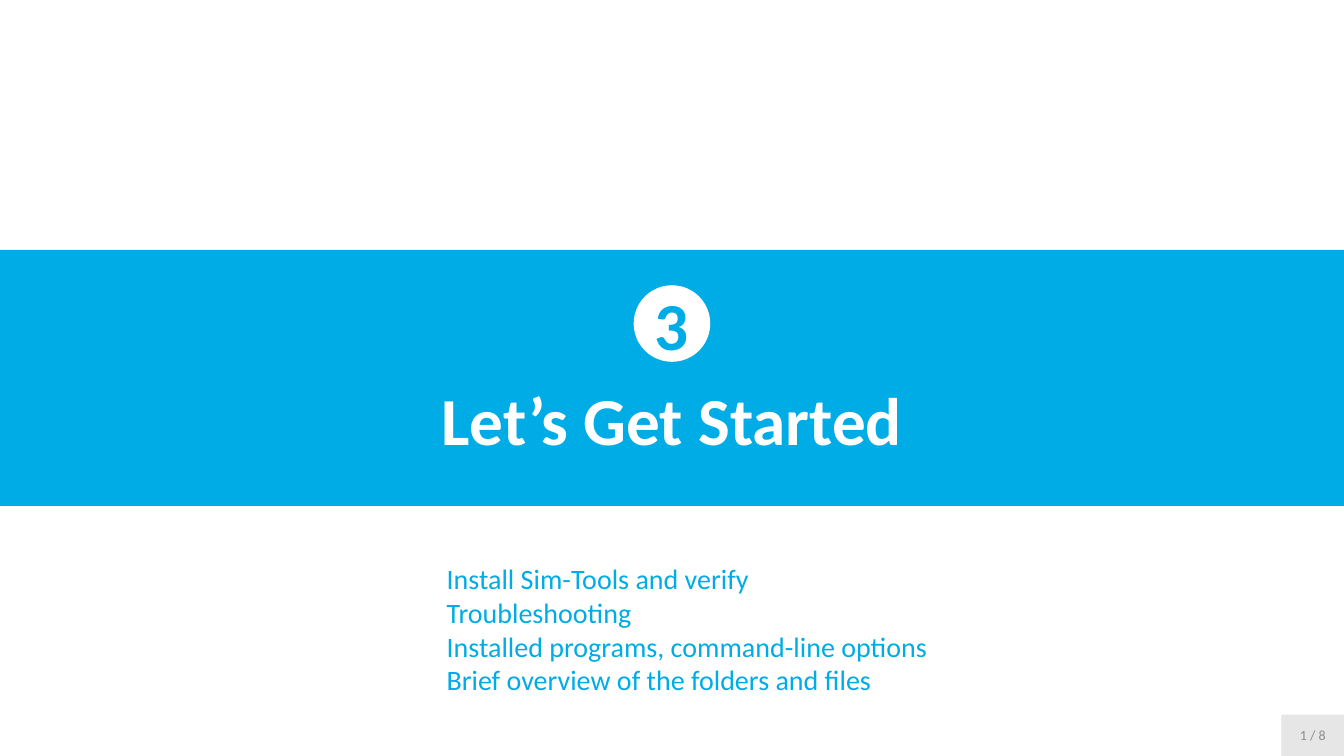
from pptx import Presentation, util as u
from pptx.dml import color
from pptx.enum import shapes, text

hues = {"blue": "00ACE6", "white": "FFFFFF", "gray": "E7E6E6", "dim": "8C8C8C"}
deck = Presentation()
deck.slide_width = u.Inches(13.33)
deck.slide_height = u.Inches(7.5)
col = deck.slide_width / 100
row = deck.slide_height / 100
slide = deck.slides.add_slide(deck.slide_layouts[6])


def tint(name):
    return color.RGBColor.from_string(hues[name])


def write(frame, words, size, hue, bold, align):
    frame.text = words
    frame.word_wrap = True
    for line in frame.paragraphs:
        line.alignment = align
        for run in line.runs:
            run.font.name = "Calibri"
            run.font.size = u.Pt(size)
            run.font.bold = bold
            run.font.color.rgb = tint(hue)


kinds = shapes.MSO_SHAPE
side = 10.13 * row
parts = [
    (kinds.RECTANGLE, 0, 33.07 * row, 100 * col, 33.87 * row,
     "blue", "Let’s Get Started", 48, "white", True, 10.7 * row),
    (kinds.OVAL, 50 * col - side / 2, 37.73 * row, side, side,
     "white", "3", 48, "blue", True, 0),
    (kinds.RECTANGLE, 95.35 * col, 94.53 * row, 4.65 * col, 5.47 * row,
     "gray", "1 / 8", 10, "dim", False, 0),
]
for kind, left, top, width, height, fill, words, size, hue, bold, drop in parts:
    shape = slide.shapes.add_shape(kind, *map(int, (left, top, width, height)))
    shape.shadow.inherit = False
    shape.fill.solid()
    shape.fill.fore_color.rgb = tint(fill)
    shape.line.fill.background()
    frame = shape.text_frame
    frame.vertical_anchor = text.MSO_ANCHOR.MIDDLE
    frame.margin_left = frame.margin_right = frame.margin_bottom = 0
    frame.margin_top = int(drop)
    write(frame, words, size, hue, bold, text.PP_ALIGN.CENTER)

topics = [
    "Install Sim-Tools and verify",
    "Troubleshooting",
    "Installed programs, command-line options",
    "Brief overview of the folders and files",
]
box = slide.shapes.add_textbox(
    *map(int, (28.73 * col, 73.67 * row, 50 * col, 19.33 * row)))
box.text_frame.margin_left = int(4.5 * col)
write(box.text_frame, "\n".join(topics), 20, "blue", False, text.PP_ALIGN.LEFT)

deck.save("out.pptx")
